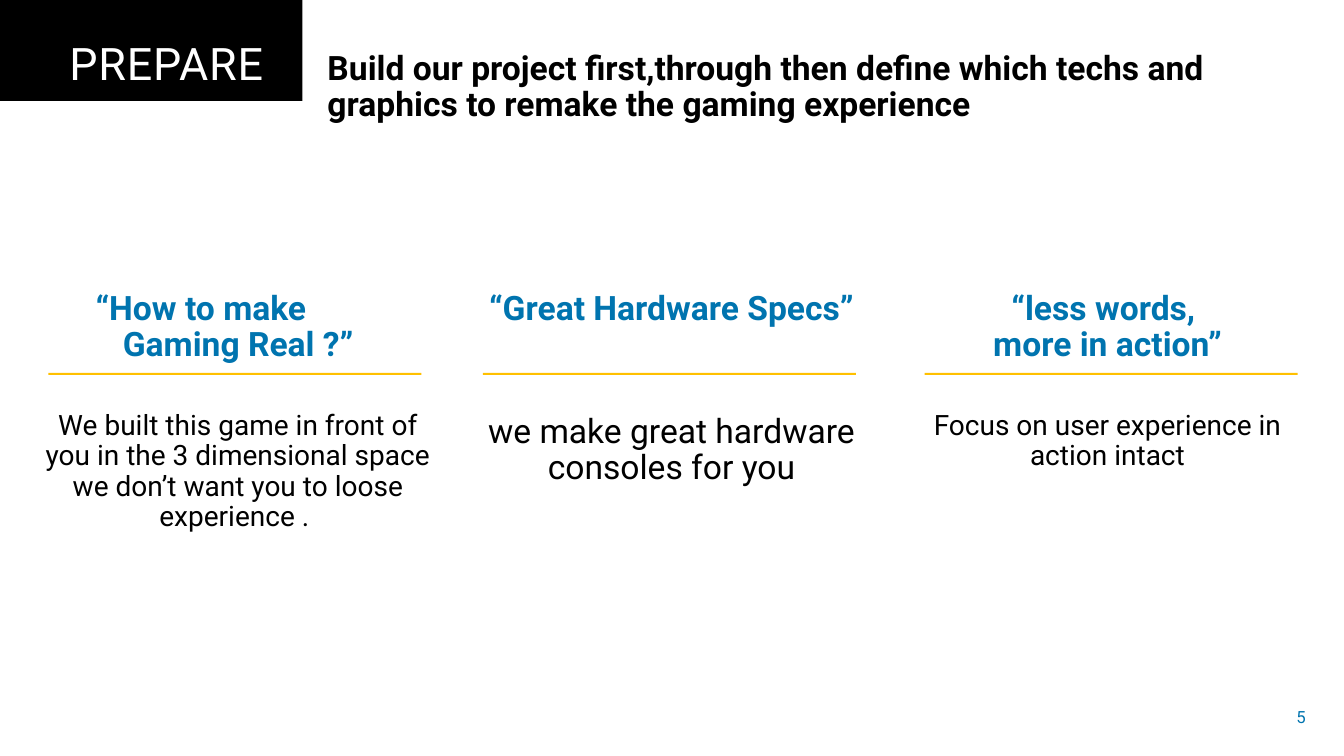
import math
from pptx import Presentation, util as u
from pptx.dml.color import RGBColor
from pptx.enum import shapes, text

FONT = "Roboto"
BLACK, WHITE, BLUE, GOLD = "000000", "FFFFFF", "0074AF", "FFC000"
LEFT, CENTER, RIGHT = text.PP_ALIGN.LEFT, text.PP_ALIGN.CENTER, text.PP_ALIGN.RIGHT
HEADING = {"size": u.Pt(24), "bold": True}
RULE_TOP, RULE_W, RULE_H = 3.7, 3.7, 0.02
COLUMN_TOP = 2.84


def rgb(value):
    """Turn a hex string into a colour."""
    return RGBColor.from_string(value)


def paint(sp, color):
    """Give a shape a flat fill with no line or shadow."""
    sp.shadow.inherit = False
    sp.fill.solid()
    sp.fill.fore_color.rgb = rgb(color)
    sp.line.fill.background()


def add_box(s, box, anchor=text.MSO_ANCHOR.TOP):
    """Add a wrapping text box and return its text frame."""
    tf = s.shapes.add_textbox(*map(u.Inches, box)).text_frame
    tf.word_wrap = True
    tf.vertical_anchor = anchor
    return tf


def write(p, words, color, font, **layout):
    """Write one formatted run in a paragraph and return the run."""
    for name, value in layout.items():
        setattr(p, name, value)
    for i, line in enumerate(words.split("\n")):
        if i:
            p.add_line_break()
        r = p.add_run()
        r.text = line
        for name, value in {"name": FONT, **font}.items():
            setattr(r.font, name, value)
        r.font.color.rgb = rgb(color)
    return r


def add_badge(s, box):
    """Draw the half disc hanging from the top edge with the title in it."""
    x, y, w, h = box
    steps = 90
    arc = [(x + w / 2 * (1 + math.cos(math.pi * i / steps)),
            y + h * math.sin(math.pi * i / steps)) for i in range(steps + 1)]
    fb = s.shapes.build_freeform(*arc[0], scale=u.Inches(1))
    fb.add_line_segments(arc[1:], close=True)
    paint(fb.convert_to_shape(), BLACK)
    tf = add_box(s, (x + 0.21, y + 0.37, w - 0.41, 0.59))
    r = write(tf.paragraphs[0], "PREPARE", WHITE, {"size": u.Pt(32)},
              alignment=CENTER, line_spacing=0.9)
    r.font._element.set("spc", "60")


def add_intro(s, box):
    """Write the bold statement beside the badge."""
    write(add_box(s, box).paragraphs[0],
          "Build our project first,through then define which techs and "
          "graphics to remake the gaming experience",
          BLACK, HEADING, line_spacing=0.9)


def add_column(s, box, rule_left, heading, body, size, gap=24, hang=None):
    """Write a heading and body in a box, with a gold rule between them."""
    tf = add_box(s, box)
    p = tf.paragraphs[0]
    write(p, heading, BLUE, HEADING, alignment=LEFT if hang else CENTER,
          line_spacing=0.9, space_after=u.Pt(gap))
    if hang:
        for name, value in zip(("marL", "indent"), hang):
            p._p.get_or_add_pPr().set(name, str(u.Inches(value)))
    write(tf.add_paragraph(), body, BLACK, {"size": u.Pt(size), "bold": False},
          alignment=CENTER, line_spacing=0.9, space_before=u.Pt(10))
    rule = (rule_left, RULE_TOP, RULE_W, RULE_H)
    paint(s.shapes.add_shape(shapes.MSO_SHAPE.RECTANGLE, *map(u.Inches, rule)), GOLD)


def add_page_number(s, box):
    """Write the page number at the right of its box."""
    tf = add_box(s, box, text.MSO_ANCHOR.MIDDLE)
    write(tf.paragraphs[0], "5", BLUE, {"size": u.Pt(12)}, alignment=RIGHT)


def main():
    """Build and save the slide."""
    prs = Presentation()
    prs.slide_width, prs.slide_height = u.Inches(13.33), u.Inches(7.5)
    s = prs.slides.add_slide(prs.slide_layouts[6])
    add_badge(s, (0.14, 0, 3.01, 1.49))
    add_intro(s, (3.15, 0.46, 9.93, 0.83))
    add_column(s, (0.33, COLUMN_TOP, 4.06, 2.52), 0.48,
               "“How to make\nGaming Real ?”",
               "We built this game in front of you in the 3 dimensional space "
               "we don’t want you to loose experience . ", 20, hang=(0.79, -0.27))
    add_column(s, (4.56, COLUMN_TOP, 4.2, 2.03), 4.79, "“Great Hardware Specs”",
               "we make great hardware consoles for you", 24, gap=52)
    add_column(s, (8.92, COLUMN_TOP, 4.13, 1.91), 9.17,
               "“less words, \nmore in action”",
               "Focus on user experience in action intact", 20)
    add_page_number(s, (12.5, 6.91, 0.55, 0.4))
    prs.save("out.pptx")


if __name__ == "__main__":
    main()
